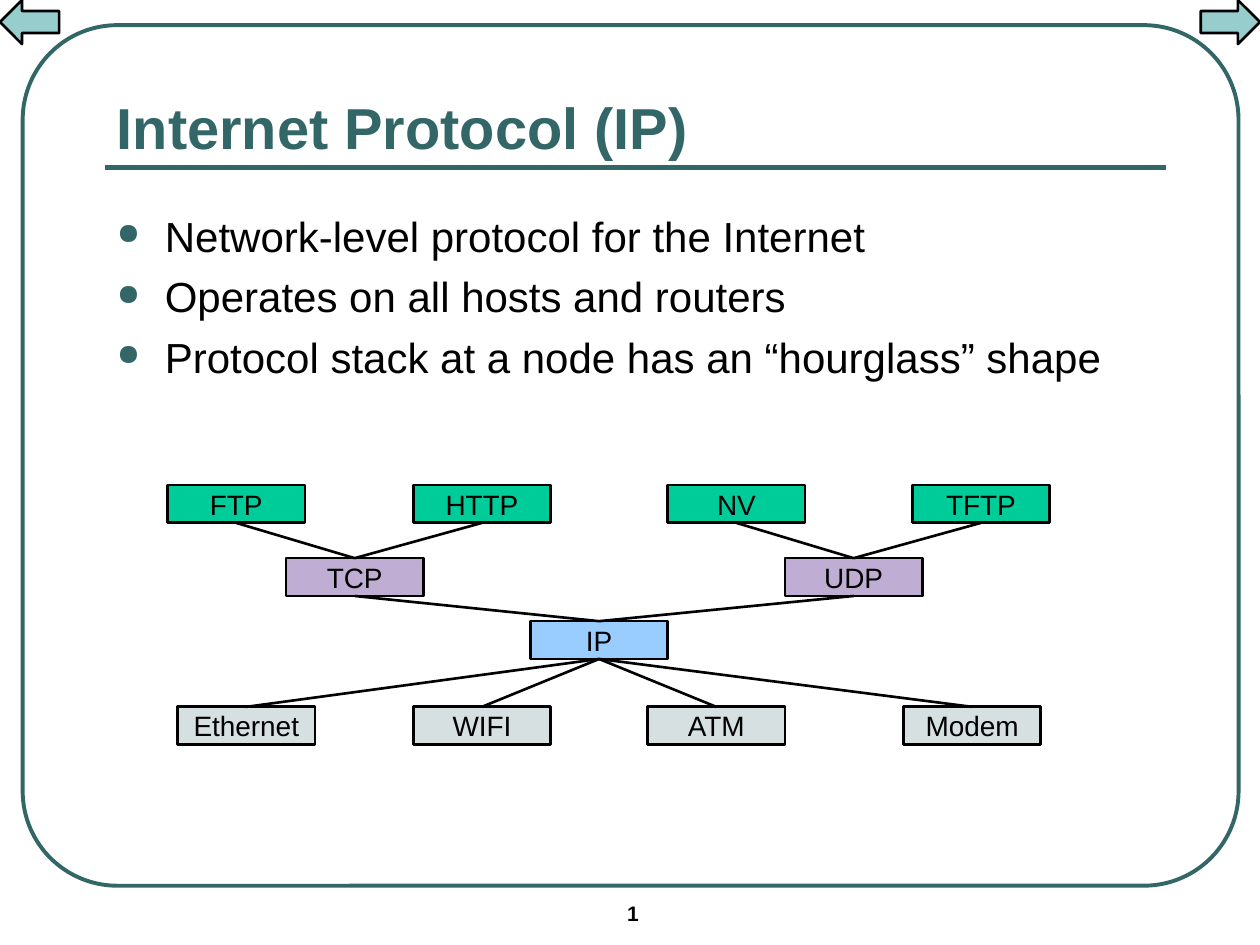
from lxml import etree
from pptx import Presentation
from pptx import util as u
from pptx.dml.color import RGBColor
from pptx.enum import shapes, text
from pptx.oxml.ns import qn

TEAL = "336666"
BLACK = "000000"
TOP, BOTTOM = 0, 2
BOX_WIDTH, BOX_HEIGHT = 1.09, 0.3

LAYERS = [
    (3.85, "00CC99", [("FTP", 1.33), ("HTTP", 3.28), ("NV", 5.3), ("TFTP", 7.24)]),
    (4.43, "BFADD3", [("TCP", 2.27), ("UDP", 6.23)]),
    (4.93, "99CCFF", [("IP", 4.21)]),
    (5.61, "D6E0E0", [("Ethernet", 1.41), ("WIFI", 3.28), ("ATM", 5.14), ("Modem", 7.17)]),
]
LINKS = [
    ("FTP", "TCP"), ("HTTP", "TCP"), ("NV", "UDP"), ("TFTP", "UDP"),
    ("TCP", "IP"), ("UDP", "IP"),
    ("IP", "Ethernet"), ("IP", "WIFI"), ("IP", "ATM"), ("IP", "Modem"),
]
BULLETS = [
    "Network-level protocol for the Internet",
    "Operates on all hosts and routers",
    "Protocol stack at a node has an “hourglass” shape",
]


def color(value):
    return RGBColor.from_string(value)


def style_line(line, value, width):
    line.color.rgb = color(value)
    line.width = u.Pt(width)


def style_font(paragraph, size, value=BLACK, bold=False):
    font = paragraph.font
    font.name = "Arial"
    font.size = u.Pt(size)
    font.bold = bold
    font.color.rgb = color(value)


def add_shape(slide, kind, bounds, fill=None, line=BLACK, width=1.5):
    shape = slide.shapes.add_shape(kind, *map(u.Inches, bounds))
    shape.shadow.inherit = False
    if fill:
        shape.fill.solid()
        shape.fill.fore_color.rgb = color(fill)
    else:
        shape.fill.background()
    style_line(shape.line, line, width)
    return shape


def add_line(slide, start=(0, 0), end=(0, 0), value=BLACK, width=1.5):
    points = map(u.Inches, (*start, *end))
    connector = slide.shapes.add_connector(shapes.MSO_CONNECTOR.STRAIGHT, *points)
    style_line(connector.line, value, width)
    etree.SubElement(connector._element.spPr, qn("a:effectLst"))
    return connector


def add_text(slide, bounds, lines, size, value=BLACK, bold=False):
    box = slide.shapes.add_textbox(*map(u.Inches, bounds))
    frame = box.text_frame
    frame.word_wrap = True
    frame.text = "\n".join(lines)
    for paragraph in frame.paragraphs:
        style_font(paragraph, size, value, bold)
    return frame


def add_bullet(paragraph):
    paragraph.space_before = u.Pt(5.8)
    properties = paragraph._p.get_or_add_pPr()
    properties.set("marL", str(u.Inches(0.38)))
    properties.set("indent", str(u.Inches(-0.38)))
    bullet_color = etree.Element(qn("a:buClr"))
    etree.SubElement(bullet_color, qn("a:srgbClr"), val=TEAL)
    bullet_size = etree.Element(qn("a:buSzPct"), val="70000")
    bullet = etree.Element(qn("a:buChar"), char="●")
    position = list(properties).index(properties.find(qn("a:defRPr")))
    properties[position:position] = [bullet_color, bullet_size, bullet]


def add_box(slide, label, left, top, fill):
    bounds = (left, top, BOX_WIDTH, BOX_HEIGHT)
    box = add_shape(slide, shapes.MSO_SHAPE.RECTANGLE, bounds, fill)
    frame = box.text_frame
    frame.word_wrap = False
    frame.vertical_anchor = text.MSO_ANCHOR.MIDDLE
    paragraph = frame.paragraphs[0]
    paragraph.text = label
    paragraph.alignment = text.PP_ALIGN.CENTER
    style_font(paragraph, 16)
    return box


def add_frame(slide):
    border = add_shape(slide, shapes.MSO_SHAPE.ROUNDED_RECTANGLE,
                       (0.18, 0.2, 9.65, 6.83), line=TEAL, width=2.25)
    border.adjustments[0] = 0.11
    add_line(slide, (0.83, 1.33), (9.25, 1.33), TEAL, 3)
    for kind, left in ((shapes.MSO_SHAPE.RIGHT_ARROW, 9.53), (shapes.MSO_SHAPE.LEFT_ARROW, 0)):
        add_shape(slide, kind, (left, 0, 0.47, 0.35), "97CDCC")


def add_protocol_stack(slide):
    boxes = {}
    for top, fill, protocols in LAYERS:
        for label, left in protocols:
            boxes[label] = add_box(slide, label, left, top, fill)
    for upper, lower in LINKS:
        connector = add_line(slide)
        connector.begin_connect(boxes[upper], BOTTOM)
        connector.end_connect(boxes[lower], TOP)


def main():
    presentation = Presentation()
    presentation.slide_width = u.Inches(10)
    presentation.slide_height = u.Inches(7.5)
    slide = presentation.slides.add_slide(presentation.slide_layouts[6])
    add_frame(slide)
    add_text(slide, (4.88, 7.1, 1.17, 0.33), ["1"], 12, bold=True)
    title = add_text(slide, (0.83, 0.58, 8.42, 0.75), ["Internet Protocol (IP)"], 33, TEAL, True)
    title.vertical_anchor = text.MSO_ANCHOR.BOTTOM
    body = add_text(slide, (0.83, 1.67, 8.42, 2.24), BULLETS, 24)
    body.margin_top = 0
    for paragraph in body.paragraphs:
        add_bullet(paragraph)
    add_protocol_stack(slide)
    presentation.save("out.pptx")


main()
